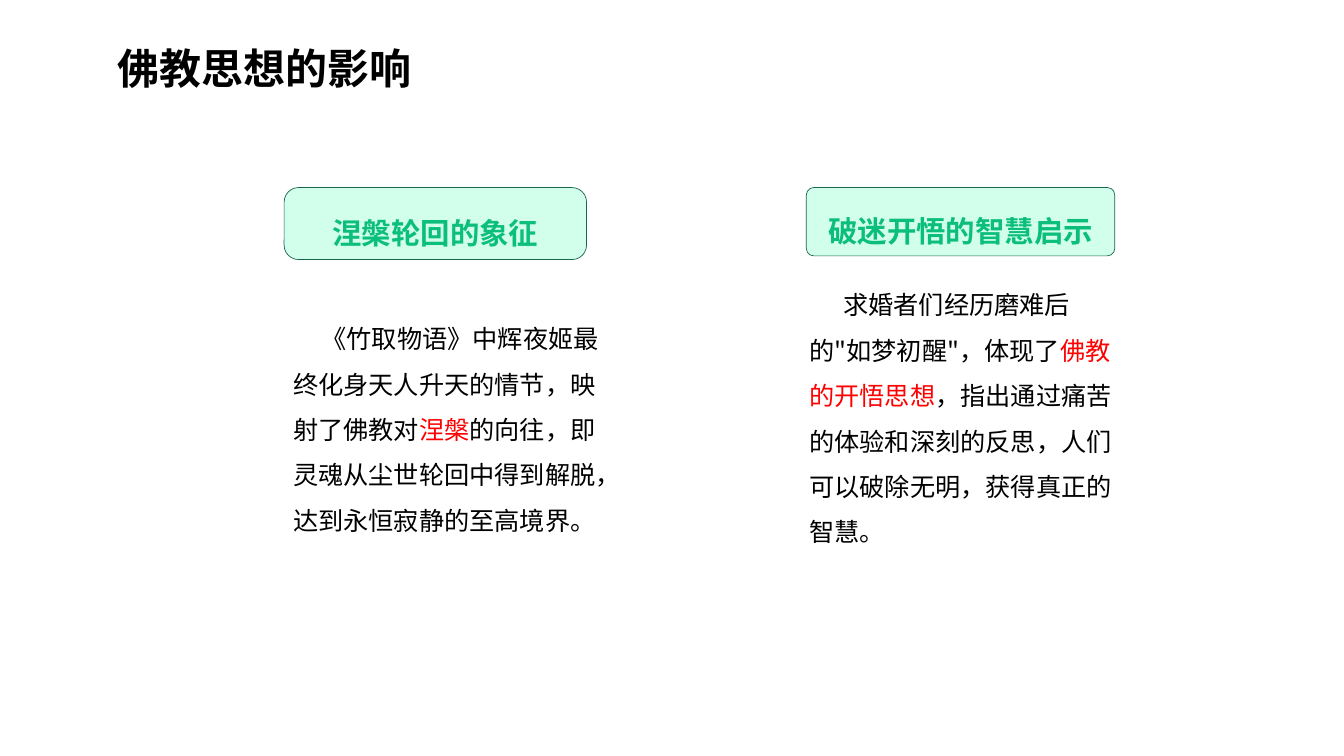
"""Builds a slide on the influence of Buddhist thought, with two titled columns."""
from pptx import Presentation
from pptx.dml.color import RGBColor
from pptx.enum.shapes import MSO_SHAPE
from pptx.enum.text import MSO_ANCHOR, PP_ALIGN
from pptx.oxml.ns import qn
from pptx.util import Pt

FONT = "Noto Sans CJK SC"


def color(value):
    return RGBColor.from_string(value)


def write(shape, parts, size, bold=False):
    frame = shape.text_frame
    frame.word_wrap = True
    frame.vertical_anchor = MSO_ANCHOR.MIDDLE
    paragraph = frame.paragraphs[0]
    paragraph.line_spacing = 1.5
    for text, ink in parts:
        run = paragraph.add_run()
        run.text = text
        run.font.size = Pt(size)
        run.font.bold = bold
        run.font.name = FONT
        run.font.color.rgb = color(ink)
        east_asian = run.font._element.makeelement(qn("a:ea"), {"typeface": FONT})
        run.font._element.find(qn("a:latin")).addnext(east_asian)
    return paragraph


prs = Presentation()
prs.slide_width, prs.slide_height = Pt(960), Pt(540)
slide = prs.slides.add_slide(prs.slide_layouts[6])

title = slide.shapes.add_textbox(Pt(77), Pt(8.6), Pt(738), Pt(61.2))
write(title, [("佛教思想的影响", "000000")], 30, True)

columns = [
    ("涅槃轮回的象征", (203, 134, 216, 51.4), 0.2, (202.3, 199.4), 20.2,
     ("《竹取物语》中辉夜姬最终化身天人升天的情节，映射了佛教对", "涅槃",
      "的向往，即灵魂从尘世轮回中得到解脱，达到永恒寂静的至高境界。")),
    ("破迷开悟的智慧启示", (576, 134, 220.3, 48.8), 0.109, (571, 191.5), 24.2,
     ("求婚者们经历磨难后的\"如梦初醒\"，体现了", "佛教的开悟思想",
      "，指出通过痛苦的体验和深刻的反思，人们可以破除无明，获得真正的智慧。")),
]

for heading, place, rounding, (left, top), indent, passages in columns:
    body = slide.shapes.add_textbox(Pt(left), Pt(top), Pt(234), Pt(203.8))
    paragraph = write(body, zip(passages, ("000000", "FF0000", "000000")), 18)
    paragraph._p.get_or_add_pPr().set("indent", str(Pt(indent)))

    label = slide.shapes.add_shape(MSO_SHAPE.ROUNDED_RECTANGLE, *map(Pt, place))
    label.adjustments[0] = rounding
    label.shadow.inherit = False
    label.fill.solid()
    label.fill.fore_color.rgb = color("D1FFEB")
    label.line.color.rgb = color("1A6550")
    label.line.width = Pt(0.5)
    write(label, [(heading, "0CBE7C")], 21, True).alignment = PP_ALIGN.CENTER

prs.save("out.pptx")
